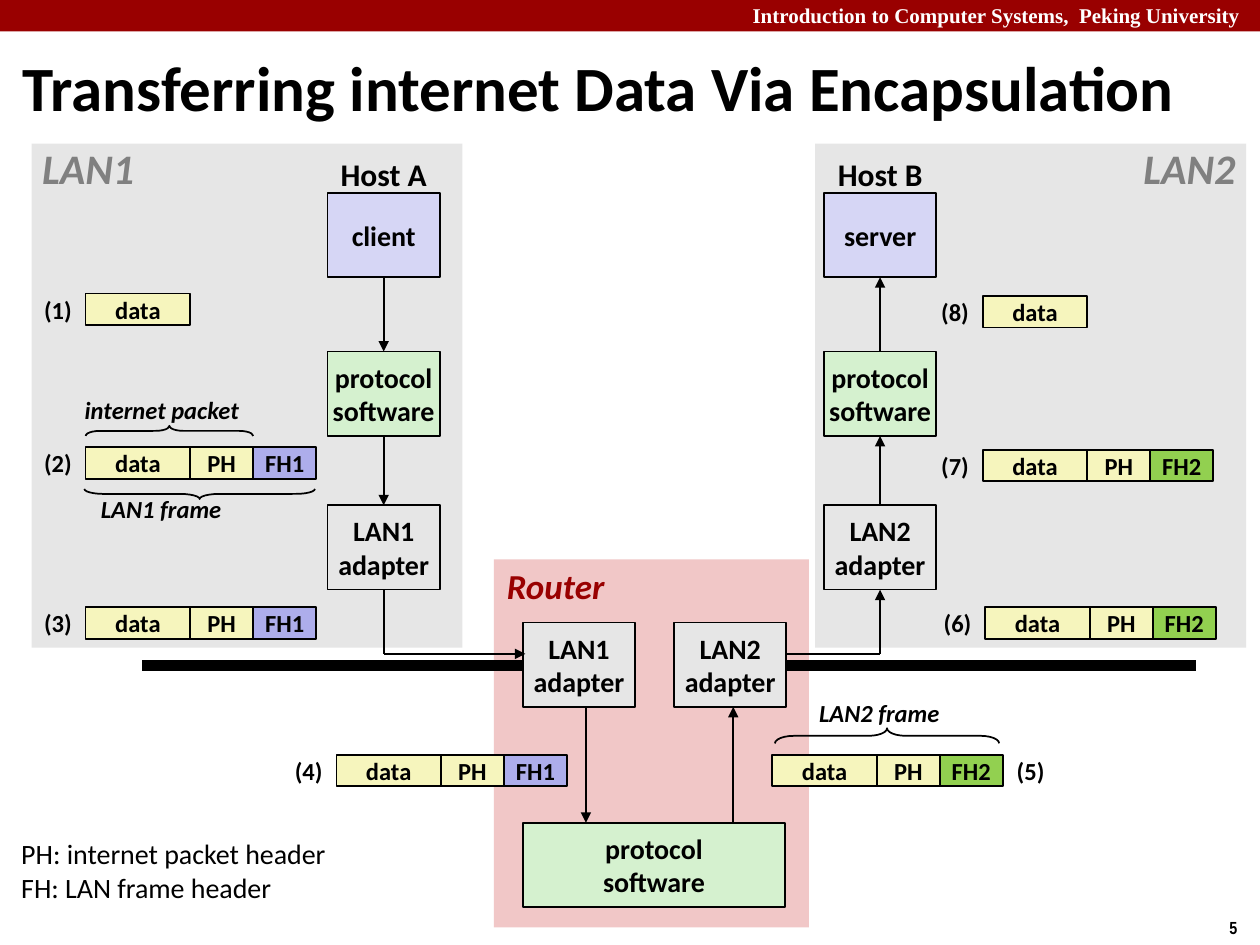
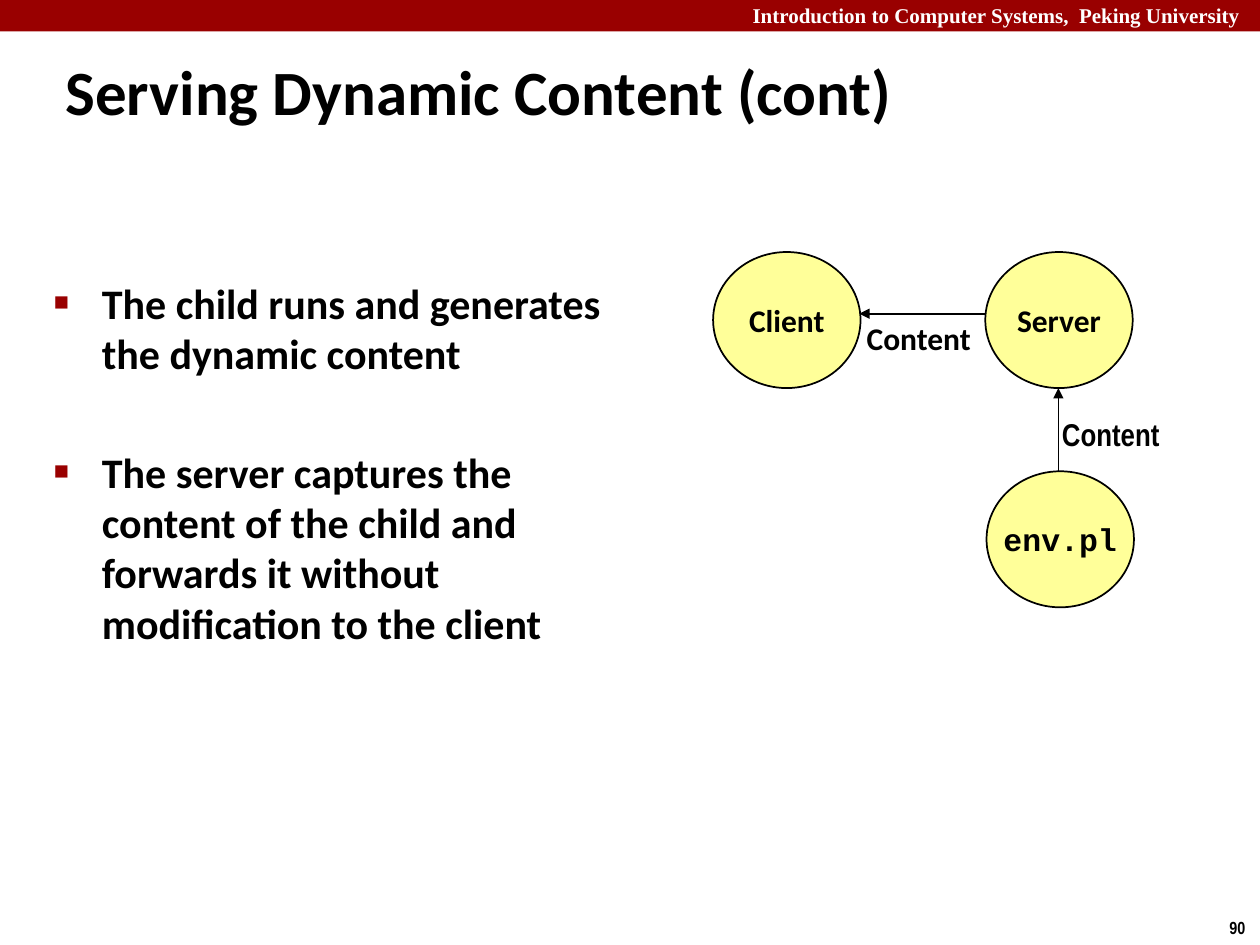
from lxml import etree
from pptx import Presentation
from pptx.dml.color import RGBColor
from pptx.enum.shapes import MSO_CONNECTOR, MSO_SHAPE
from pptx.enum.text import MSO_ANCHOR, MSO_AUTO_SIZE, PP_ALIGN
from pptx.oxml.ns import qn
from pptx.util import Inches, Pt

RECT, OVAL, BRACE = MSO_SHAPE.RECTANGLE, MSO_SHAPE.OVAL, MSO_SHAPE.LEFT_BRACE
LEFT, MID, RIGHT = PP_ALIGN.LEFT, PP_ALIGN.CENTER, PP_ALIGN.RIGHT
TOP, CENTER = MSO_ANCHOR.TOP, MSO_ANCHOR.MIDDLE
GROW, FIXED = MSO_AUTO_SIZE.SHAPE_TO_FIT_TEXT, MSO_AUTO_SIZE.NONE
STRAIGHT = MSO_CONNECTOR.STRAIGHT

RED, BLACK, WHITE = "990000", "000000", "FFFFFF"
GREY, DARK, PINK = "E6E6E6", "808080", "F1C7C7"
BLUE, GREEN, CREAM, YELLOW = "D6D6F5", "D5F1CF", "F6F5BD", "FFFF99"
HEADS = {"1": "ADADEB", "2": "92D050"}

BOX_W, BOX_H = 0.89, 0.67
PART_H = 0.25


def color(code):
    return RGBColor.from_string(code)


def write(shape, text, size, ink=BLACK, align=MID, anchor=CENTER,
          wrap=False, fit=FIXED, **extra):
    """Fill a shape with one paragraph per line of text."""
    frame = shape.text_frame
    frame.text = text
    layout = {"word_wrap": wrap, "auto_size": fit, "vertical_anchor": anchor}
    for name, value in layout.items():
        setattr(frame, name, value)
    look = {"name": "Calibri", "bold": True, "size": Pt(size), **extra}
    for para in frame.paragraphs:
        para.alignment = align
        for run in para.runs:
            for name, value in look.items():
                setattr(run.font, name, value)
            run.font.color.rgb = color(ink)


def label(slide, box, text, size, **look):
    shape = slide.shapes.add_textbox(*map(Inches, box))
    write(shape, text, size, **{"fit": GROW, **look})
    return shape


def block(slide, box, fill, text="", size=16, kind=RECT, edge=True, **look):
    shape = slide.shapes.add_shape(kind, *map(Inches, box))
    shape.shadow.inherit = False
    shape.fill.solid()
    shape.fill.fore_color.rgb = color(fill)
    if edge:
        shape.line.color.rgb = color(BLACK)
        shape.line.width = Pt(1)
    else:
        shape.line.fill.background()
    if text:
        write(shape, text, size, **look)
    return shape


def line(slide, start, end, width=1, arrow=False):
    link = slide.shapes.add_connector(STRAIGHT, *map(Inches, start + end))
    link.line.color.rgb = color(BLACK)
    link.line.width = Pt(width)
    if arrow:
        tail = etree.SubElement(link.line._get_or_add_ln(), qn("a:tailEnd"))
        tail.set("type", "triangle")
    etree.SubElement(link._element.spPr, qn("a:effectLst"))
    return link


def brace(slide, box, turn):
    """Draw a brace across the box: turn 90 points up, 270 down."""
    x, y, w, h = box
    shape = slide.shapes.add_shape(
        BRACE, Inches(x + (w - h) / 2), Inches(y + (h - w) / 2),
        Inches(h), Inches(w))
    shape.rotation = turn
    shape.adjustments[0] = w / h / 12
    shape.shadow.inherit = False
    shape.fill.background()
    shape.line.color.rgb = color(BLACK)
    shape.line.width = Pt(1)


def start(deck, title, box, number, anchor):
    """Add a slide with its title, top band and page number."""
    slide = deck.slides.add_slide(deck.slide_layouts[5])
    head = slide.shapes.title
    head.left, head.top, head.width, head.height = map(Inches, box)
    write(head, title, 36, align=LEFT, anchor=anchor, wrap=True)
    block(slide, (0, 0, 10, 0.25), RED, edge=False)
    label(slide, (4.75, -0.03, 5.19, 0.3),
          "Introduction to Computer Systems,  Peking University", 12,
          ink=WHITE, align=RIGHT, anchor=TOP, wrap=True,
          name="Times New Roman")
    label(slide, (9.66, 7.23, 0.34, 0.27), number, 10, align=LEFT,
          anchor=TOP, name="Arial Narrow")
    return slide


def host(slide, x, y, name, app, lan, up):
    """Stack the three boxes of a host and join them, upward or down."""
    label(slide, (x, y - 0.35, BOX_W, 0.4), name, 18)
    rows = [(0, BLUE, app), (1.26, GREEN, "protocol\nsoftware"),
            (2.48, GREY, f"{lan}\nadapter")]
    stack = [block(slide, (x, y + drop, BOX_W, BOX_H), fill, text)
             for drop, fill, text in rows]
    for above, below in zip(stack, stack[1:]):
        link = line(slide, (x, y), (x, y), arrow=True)
        first, last = (below, above) if up else (above, below)
        link.begin_connect(first, 0 if up else 2)
        link.end_connect(last, 2 if up else 0)
    return stack[-1]


def packet(slide, x, y, step, net="", after=False):
    """Draw a row of data, with its headers when net is given."""
    parts = [("data", 0.83, CREAM)]
    if net:
        parts += [("PH", 0.5, CREAM), (f"FH{net}", 0.5, HEADS[net])]
    left = x
    for text, width, fill in parts:
        block(slide, (left, y, width, PART_H), fill, text, 14)
        left += width
    label(slide, (left if after else x - 0.44, y - 0.04, 0.44, 0.33),
          f"({step})", 14)


def lan(slide, x, y, name, name_x):
    block(slide, (x, y, 3.42, 4), GREY, edge=False)
    label(slide, (x + name_x, y - 0.06, 0.94, 0.5), name, 24,
          ink=DARK, italic=True)


def router(slide, x, y):
    label(slide, (x, y - 0.01, 0.98, 0.44), "Router", 20, ink=RED,
          italic=True)
    for left, net in ((0.23, "LAN1"), (1.43, "LAN2")):
        block(slide, (x + left, y + 0.5, BOX_W, BOX_H), GREY,
              f"{net}\nadapter")
    block(slide, (x + 0.23, y + 2.09, 2.08, BOX_H), GREEN,
          "protocol\nsoftware")
    high, low = y + 1.17, y + 2.09
    line(slide, (x + 0.73, high), (x + 0.73, low), arrow=True)
    line(slide, (x + 1.9, low), (x + 1.9, high), arrow=True)


def transfer(deck):
    slide = start(deck, "Transferring internet Data Via Encapsulation",
                  (0.08, 0.37, 9.67, 0.63), "5", CENTER)
    lan(slide, 0.25, 1.14, "LAN1", -0.02)
    lan(slide, 6.47, 1.14, "LAN2", 2.5)
    block(slide, (3.92, 4.44, 2.5, 2.92), PINK, edge=False)
    for left in (1.13, 6.24):
        line(slide, (left, 5.28), (left + 3.25, 5.28), width=6)

    source = host(slide, 2.6, 1.53, "Host A", "client", "LAN1", False)
    target = host(slide, 6.54, 1.53, "Host B", "server", "LAN2", True)
    router(slide, 3.92, 4.44)

    out_x, in_x, wire = 2.6 + BOX_W / 2, 6.54 + BOX_W / 2, 5.19
    drop = line(slide, (out_x, 4.68), (out_x, wire))
    drop.begin_connect(source, 2)
    line(slide, (out_x, wire), (4.17, wire), arrow=True)
    line(slide, (6.24, wire), (in_x, wire))
    rise = line(slide, (in_x, wire), (in_x, 4.68), arrow=True)
    rise.end_connect(target, 2)

    for row in ((0.68, 2.33, 1), (0.68, 3.55, 2, "1"), (0.68, 4.82, 3, "1"),
                (2.67, 5.99, 4, "1"), (6.13, 5.99, 5, "2", True),
                (7.82, 4.82, 6, "2"), (7.8, 3.57, 7, "2"),
                (7.8, 2.35, 8)):
        packet(slide, *row)

    for span, turn, box, text in (
            ((0.68, 3.38, 1.33, 0.08), 90, (0.57, 3.08, 1.43, 0.34),
             "internet packet"),
            ((0.67, 3.88, 1.83, 0.08), 270, (0.7, 3.87, 1.16, 0.34),
             "LAN1 frame"),
            ((6.15, 5.78, 1.78, 0.12), 90, (6.4, 5.49, 1.16, 0.34),
             "LAN2 frame")):
        brace(slide, span, turn)
        label(slide, box, text, 14, italic=True)

    label(slide, (0.07, 6.59, 2.65, 0.64),
          "PH: internet packet header\nFH: LAN frame header", 16,
          align=LEFT, anchor=TOP, bold=False)


def bullets(slide, box, items):
    shape = slide.shapes.add_textbox(*map(Inches, box))
    shape.text_frame.text = "\n".join(items)
    for spot, para in enumerate(shape.text_frame.paragraphs):
        props = para._p.get_or_add_pPr()
        props.set("marL", str(Inches(0.38)))
        props.set("indent", str(-Inches(0.38)))
        if spot:
            para.space_before = Pt(39)
        tint = etree.SubElement(props, qn("a:buClr"))
        etree.SubElement(tint, qn("a:srgbClr")).set("val", RED)
        etree.SubElement(props, qn("a:buSzPct")).set("val", "60000")
        etree.SubElement(props, qn("a:buFont")).set("typeface", "Arial")
        etree.SubElement(props, qn("a:buChar")).set("char", "■")
    for para in shape.text_frame.paragraphs:
        for run in para.runs:
            run.font.color.rgb = color(BLACK)
            for name, value in {"name": "Calibri", "bold": True,
                                "size": Pt(24)}.items():
                setattr(run.font, name, value)
    shape.text_frame.word_wrap = True


def flow(slide, x, y):
    """Draw the client, the server and the child program below it."""
    for left, top, text, face in ((0, 0, "Client", "Calibri"),
                                  (2.16, 0, "Server", "Calibri"),
                                  (2.17, 1.74, "env.pl", "Courier New")):
        block(slide, (x + left, y + top, 1.17, 1.08), YELLOW, text, 18,
              kind=OVAL, name=face)
    line(slide, (x + 2.74, y + 1.74), (x + 2.74, y + 1.08), arrow=True)
    line(slide, (x + 2.16, y + 0.49), (x + 1.16, y + 0.49), arrow=True)
    label(slide, (x + 2.67, y + 1.24, 1.15, 0.4), "Content", 18,
          align=LEFT, name="Arial Narrow")
    label(slide, (x + 1.12, y + 0.48, 1.04, 0.4), "Content", 18, align=LEFT)


def dynamic(deck):
    slide = start(deck, "Serving Dynamic Content (cont)",
                  (0.42, 0.37, 9, 0.63), "90", TOP)
    bullets(slide, (0.33, 2.15, 4.69, 4.87), [
        "The child runs and generates the dynamic content",
        "The server captures the content of the child and forwards it "
        "without modification to the client"])
    flow(slide, 5.66, 2)


def main():
    deck = Presentation()
    deck.slide_width, deck.slide_height = Inches(10), Inches(7.5)
    transfer(deck)
    dynamic(deck)
    deck.save("out.pptx")


if __name__ == "__main__":
    main()
